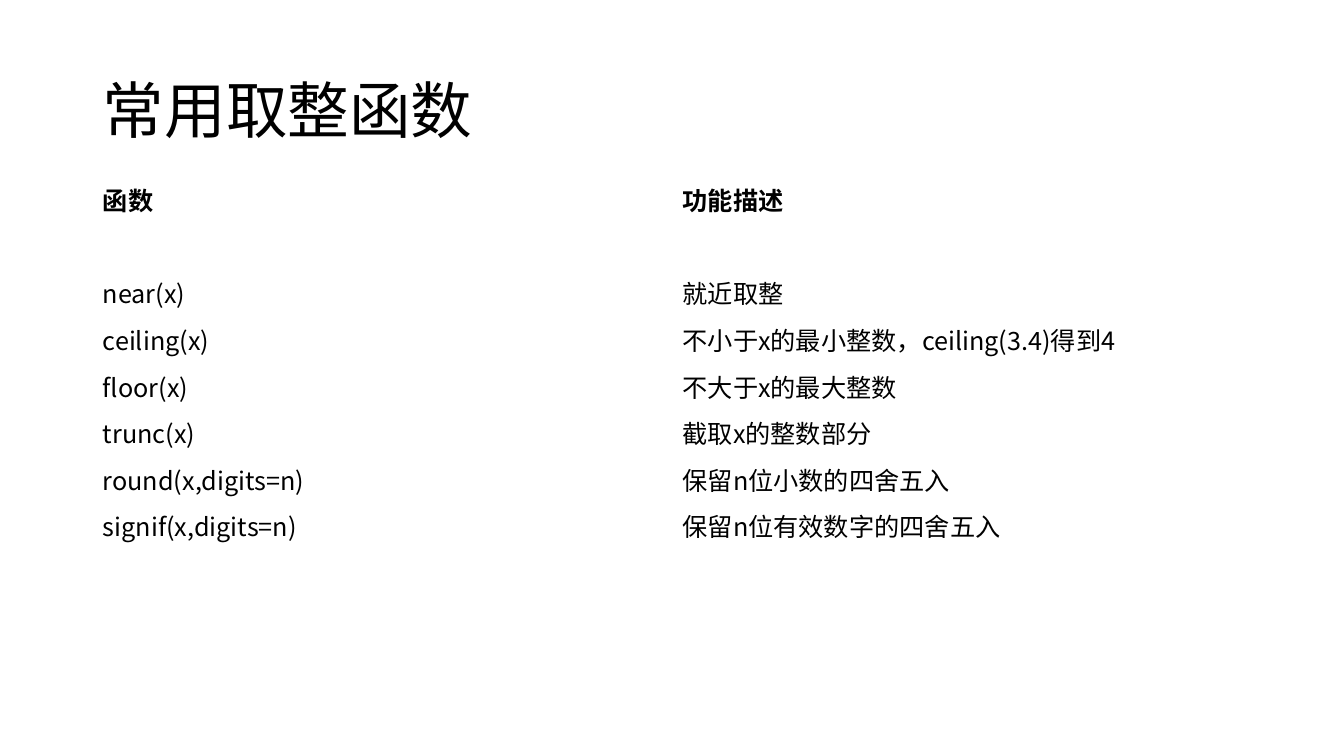
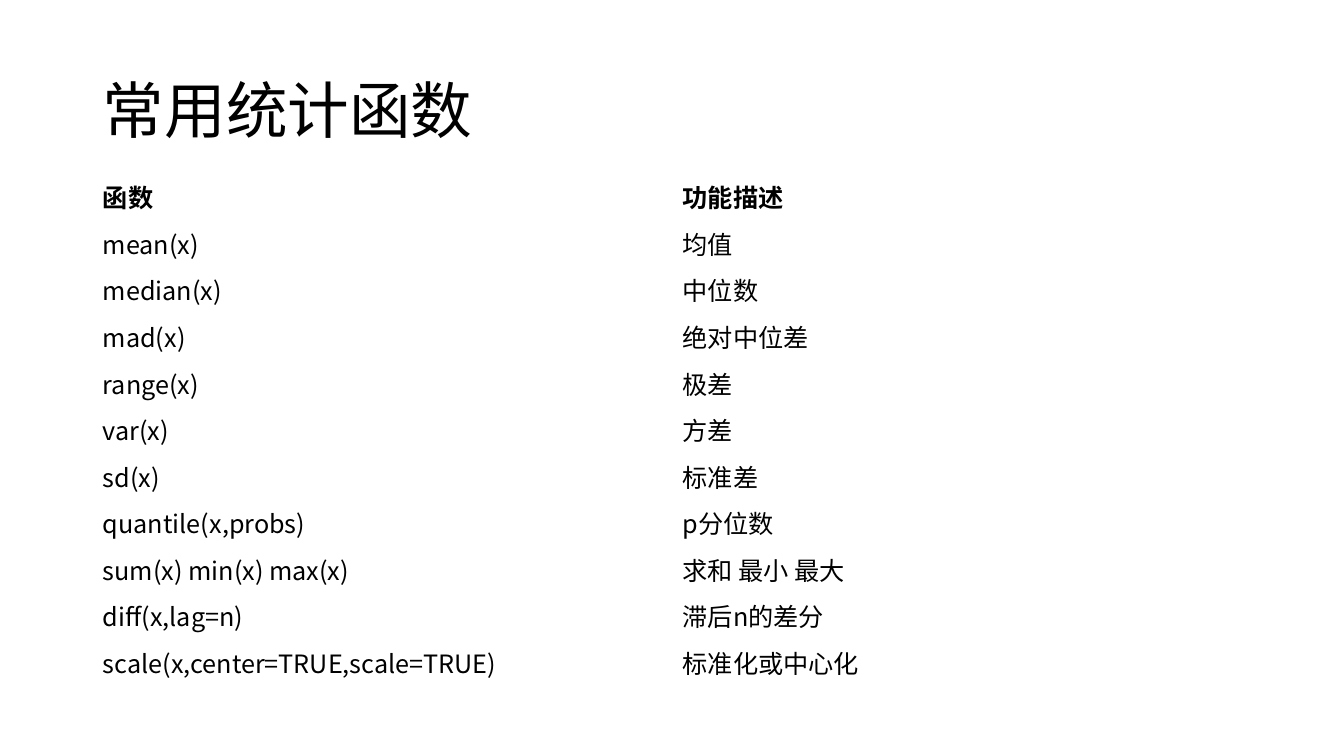
from lxml import etree
from pptx import Presentation
from pptx.dml.color import RGBColor
from pptx.enum import text
from pptx.oxml import ns
from pptx.util import Inches, Pt

# Shared style
FONT = "Noto Sans CJK SC"
BLACK = RGBColor(0x00, 0x00, 0x00)
WHITE = RGBColor(0xFF, 0xFF, 0xFF)
LEFT, WIDTH = 0.92, 11.5
TITLE_BOX = (LEFT, 0.4, WIDTH, 1.45)
ROW_COUNT, ROW_HEIGHT, GAP_HEIGHT = 13, 0.41, 0.46
HEADER = ("函数", "功能描述")
GAP = ("", "")

ROUNDING = [
    GAP,
    ("near(x)", "就近取整"),
    ("ceiling(x)", "不小于x的最小整数，ceiling(3.4)得到4"),
    ("floor(x)", "不大于x的最大整数"),
    ("trunc(x)", "截取x的整数部分"),
    ("round(x,digits=n)", "保留n位小数的四舍五入"),
    ("signif(x,digits=n)", "保留n位有效数字的四舍五入"),
]
STATISTICS = [
    ("mean(x)", "均值"),
    ("median(x)", "中位数"),
    ("mad(x)", "绝对中位差"),
    ("range(x)", "极差"),
    ("var(x)", "方差"),
    ("sd(x)", "标准差"),
    ("quantile(x,probs)", "p分位数"),
    ("sum(x) min(x) max(x)", "求和 最小 最大"),
    ("diff(x,lag=n)", "滞后n的差分"),
    ("scale(x,center=TRUE,scale=TRUE)", "标准化或中心化"),
]


def style_paragraph(paragraph, size, bold=False):
    font = paragraph.font
    font.name, font.size, font.bold = FONT, Pt(size), bold
    font.color.rgb = BLACK
    # East Asian text takes its typeface from a:ea, right after a:latin
    properties = paragraph._p.pPr.find(ns.qn("a:defRPr"))
    east_asian = etree.Element(ns.qn("a:ea"), typeface=FONT)
    properties.find(ns.qn("a:latin")).addnext(east_asian)


def place_title(slide, wording, box):
    title = slide.shapes.title
    title.left, title.top, title.width, title.height = map(Inches, box)
    frame = title.text_frame
    frame.text = wording
    frame.auto_size = text.MSO_AUTO_SIZE.NONE
    frame.vertical_anchor = text.MSO_ANCHOR.MIDDLE
    heading = frame.paragraphs[0]
    heading.alignment = text.PP_ALIGN.LEFT
    heading.line_spacing = 0.9
    style_paragraph(heading, 44)


def place_functions(slide, functions, box):
    """Header and function rows, then blank rows up to ROW_COUNT."""
    entries = [HEADER, *functions]
    entries += [GAP] * (ROW_COUNT - len(entries))
    table = slide.shapes.add_table(
        ROW_COUNT, len(HEADER), *map(Inches, box)).table
    table.first_row = table.horz_banding = False
    for index, (row, entry) in enumerate(zip(table.rows, entries)):
        is_gap = entry == GAP and index <= len(functions)
        row.height = Inches(GAP_HEIGHT if is_gap else ROW_HEIGHT)
        for cell, wording in zip(row.cells, entry):
            cell.fill.background()
            cell.text = wording
            style_paragraph(cell.text_frame.paragraphs[0], 18, index == 0)


def add_function_slide(deck, title, functions, table_top):
    slide = deck.slides.add_slide(deck.slide_layouts.get_by_name("Title Only"))
    place_title(slide, title, TITLE_BOX)
    table_box = (LEFT, table_top, WIDTH, ROW_COUNT * ROW_HEIGHT)
    place_functions(slide, functions, table_box)


def main():
    deck = Presentation()
    deck.slide_width, deck.slide_height = Inches(13.33), Inches(7.5)
    background = deck.slide_master.background.fill
    background.solid()
    background.fore_color.rgb = WHITE
    add_function_slide(deck, "常用取整函数", ROUNDING, 1.75)
    add_function_slide(deck, "常用统计函数", STATISTICS, 1.72)
    deck.save("out.pptx")


if __name__ == "__main__":
    main()
